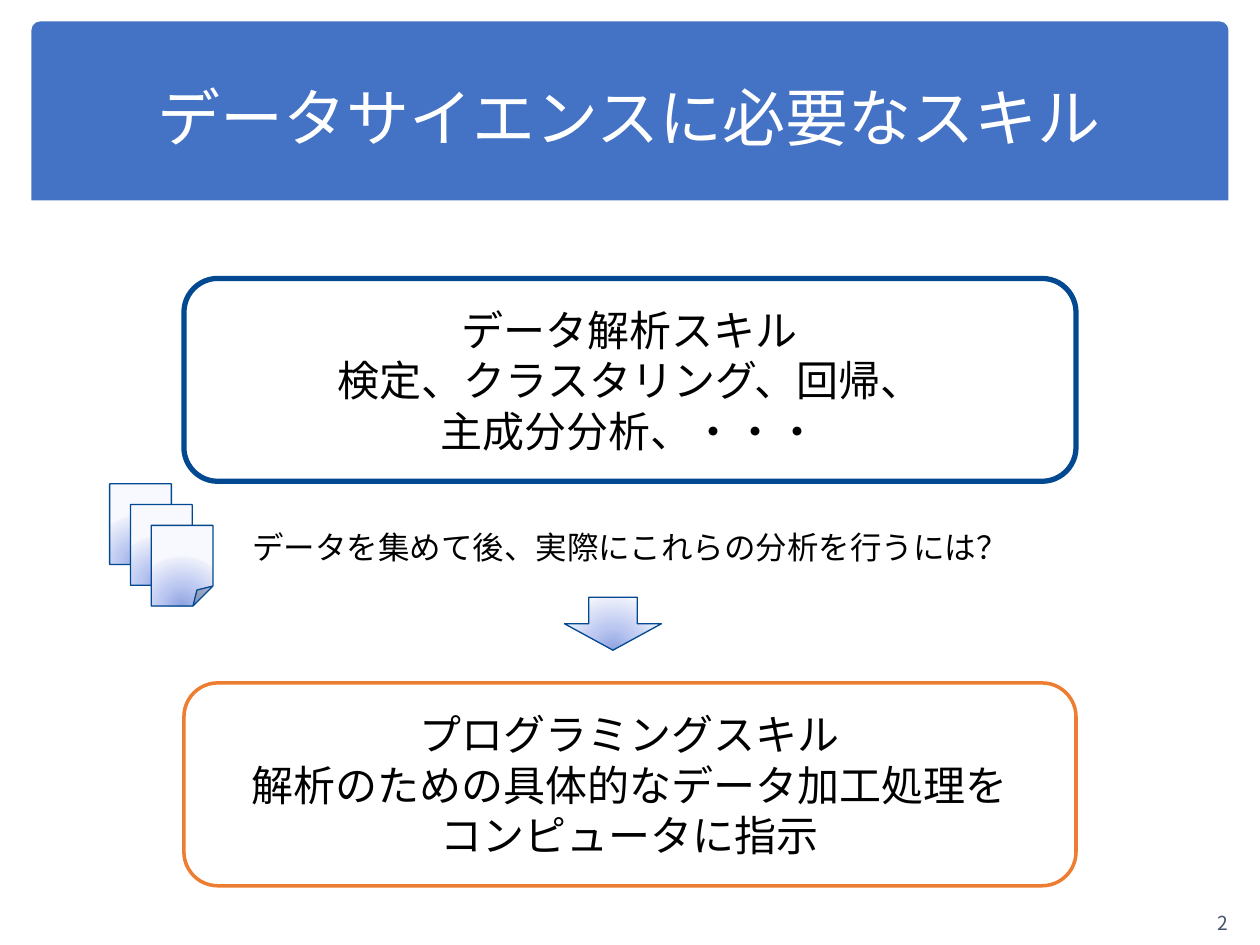
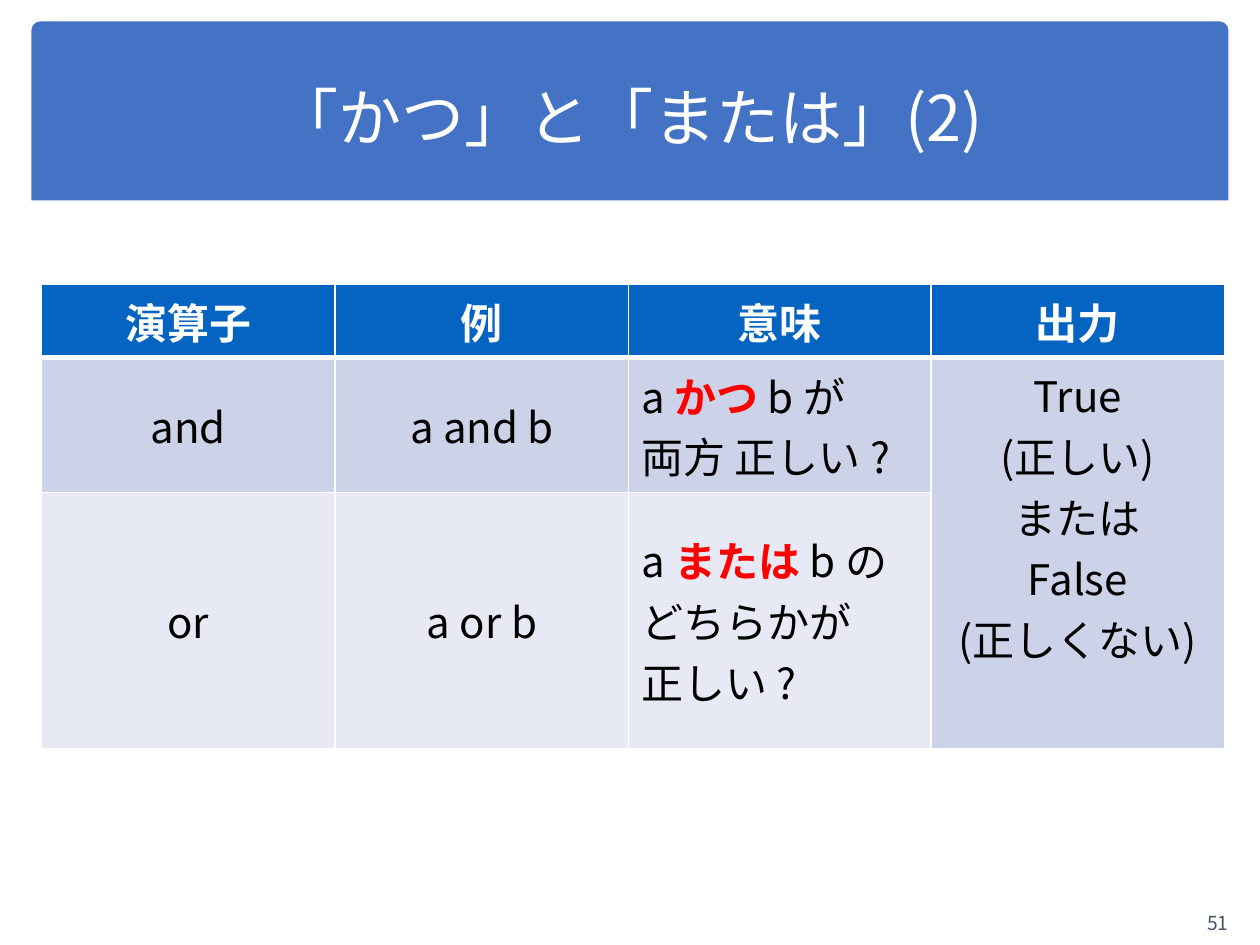
"""Build two lecture slides: data science skills and the and/or operators."""
from dataclasses import dataclass

from lxml import etree
from pptx import Presentation
from pptx.dml.color import RGBColor
from pptx.enum.shapes import MSO_SHAPE
from pptx.enum.text import MSO_ANCHOR, PP_ALIGN
from pptx.oxml import parse_xml
from pptx.oxml.ns import nsdecls, qn
from pptx.util import Inches, Pt

LEFT, CENTER, RIGHT = PP_ALIGN.LEFT, PP_ALIGN.CENTER, PP_ALIGN.RIGHT
TOP, MIDDLE = MSO_ANCHOR.TOP, MSO_ANCHOR.MIDDLE
BAND = MSO_SHAPE.ROUND_2_SAME_RECTANGLE
ROUNDED = MSO_SHAPE.ROUNDED_RECTANGLE
SHEET, ARROW = MSO_SHAPE.FOLDED_CORNER, MSO_SHAPE.DOWN_ARROW


@dataclass(frozen=True)
class Theme:
    heading_font: str = "Noto Sans CJK JP"
    body_font: str = "DejaVu Sans"
    title_size: int = 36
    body_size: int = 24
    note_size: int = 18
    number_size: int = 11
    white: str = "FFFFFF"
    black: str = "000000"
    red: str = "FF0000"
    band: str = "4472C4"
    number: str = "44546A"
    navy: str = "024991"
    orange: str = "ED7D31"
    header: str = "0563C1"
    rows: tuple = ("CCD3E9", "E7EAF4")
    gradient: tuple = ((0, "8EA3E0"), (43, "BCC8F1"), (93, "EBEEFA"), (100, "F7F9FF"))


theme = Theme()


def write(frame, lines, font, size, color, align=CENTER, anchor=MIDDLE, bold=False):
    """Fill a text frame; words between asterisks are bold red."""
    frame.text = "\n".join(lines)
    frame.vertical_anchor = anchor
    for para, line in zip(frame.paragraphs, lines):
        para.alignment = align
        para.text = ""
        for index, piece in enumerate(line.split("*")):
            span = para.add_run()
            span.text = piece
            marked = index % 2 == 1
            span.font.name, span.font.size = font, Pt(size)
            span.font.bold = bold or marked
            span.font.color.rgb = RGBColor.from_string(theme.red if marked else color)
            east_asian = etree.SubElement(span.font._element, qn("a:ea"))
            east_asian.set("typeface", font)


def add_outline(page, kind, area, fill, line, width):
    """Add a shadowless preset shape; a missing fill or line is left empty."""
    shape = page.shapes.add_shape(kind, *map(Inches, area))
    shape.shadow.inherit = False
    if fill:
        shape.fill.solid()
        shape.fill.fore_color.rgb = RGBColor.from_string(fill)
    else:
        shape.fill.background()
    if line:
        shape.line.color.rgb = RGBColor.from_string(line)
        shape.line.width = Pt(width)
    else:
        shape.line.fill.background()
    return shape


deck = Presentation()
deck.slide_width, deck.slide_height = Inches(10), Inches(7.5)
layout = deck.slide_layouts[5]

pages = []
for title, number in (("データサイエンスに必要なスキル", "2"), ("「かつ」と「または」(2)", "51")):
    page = deck.slides.add_slide(layout)
    heading = page.shapes.title
    heading.left, heading.top = Inches(0.33), Inches(0.3)
    heading.width, heading.height = Inches(9.33), Inches(1.25)
    write(heading.text_frame, [title], theme.heading_font, theme.title_size, theme.white)
    box = page.shapes.add_textbox(Inches(7.52), Inches(7.15), Inches(2.33), Inches(0.35))
    box.text_frame.word_wrap = True
    write(box.text_frame, [number], theme.heading_font, theme.number_size, theme.number, RIGHT)
    pages.append(page)
skills_page, operators_page = pages

band = add_outline(skills_page, BAND, (0.25, 0.17, 9.5, 1.42), theme.band, None, 0)
band.adjustments[0], band.adjustments[1] = 0.049, 0
layout.shapes.element.insert(2, band.element)

skills = (
    (2.21, None, theme.navy, 3,
     ["データ解析スキル", "検定、クラスタリング、回帰、", "主成分分析、・・・"]),
    (5.42, theme.white, theme.orange, 2,
     ["プログラミングスキル", "解析のための具体的なデータ加工処理を", "コンピュータに指示"]),
)
for top, fill, line, width, lines in skills:
    card = add_outline(skills_page, ROUNDED, (1.46, top, 7.08, 1.61), fill, line, width)
    write(card.text_frame, lines, theme.body_font, theme.body_size, theme.black)

question = skills_page.shapes.add_textbox(Inches(1.87), Inches(4.14), Inches(6.26), Inches(0.4))
question.text_frame.word_wrap = False
write(question.text_frame, ["データを集めて後、実際にこれらの分析を行うには？"],
      theme.body_font, theme.note_size, theme.black, anchor=TOP)

stops = "".join(
    f'<a:gs pos="{position * 1000}"><a:srgbClr val="{color}"/></a:gs>'
    for position, color in theme.gradient)
icons = [(SHEET, (0.87 + 0.165 * step, 3.84 + 0.165 * step, 0.49, 0.64)) for step in range(3)]
icons.append((ARROW, (4.48, 4.74, 0.77, 0.42)))
for kind, area in icons:
    icon = add_outline(skills_page, kind, area, theme.white, theme.navy, 0.75)
    properties = icon.element.spPr
    if kind == SHEET:
        geometry = properties.find(qn("a:prstGeom"))
        geometry.replace(geometry.find(qn("a:avLst")), parse_xml(
            f'<a:avLst {nsdecls("a")}><a:gd name="adj" fmla="val 32400"/></a:avLst>'))
    properties.replace(properties.find(qn("a:solidFill")), parse_xml(
        f'<a:gradFill {nsdecls("a")} rotWithShape="1"><a:gsLst>{stops}</a:gsLst>'
        '<a:path path="circle"><a:fillToRect l="50000" t="130000" r="50000" b="-30000"/>'
        '</a:path></a:gradFill>'))

table_rows = (
    (["演算子"], ["例"], ["意味"], ["出力"]),
    (["and"], ["a and b"], ["a *かつ* b が", "両方 正しい ?"],
     ["True", "(正しい)", "または", "False", "(正しくない)"]),
    (["or"], ["a or b"], ["a *または* b の", "どちらかが", "正しい ?"], None),
)
table = operators_page.shapes.add_table(
    3, 4, Inches(0.33), Inches(2.26), Inches(9.4), Inches(3.68)).table
for column, width in zip(table.columns, (2.33, 2.33, 2.4, 2.33)):
    column.width = Inches(width)
for row, height in zip(table.rows, (0.58, 1.07, 2.03)):
    row.height = Inches(height)
table.cell(1, 3).merge(table.cell(2, 3))

for row_index, row in enumerate(table_rows):
    is_header = row_index == 0
    for column_index, lines in enumerate(row):
        cell = table.cell(row_index, column_index)
        is_output = column_index == 3
        fill = theme.header if is_header else theme.rows[0 if is_output else row_index - 1]
        cell.fill.solid()
        cell.fill.fore_color.rgb = RGBColor.from_string(fill)
        if lines:
            write(cell.text_frame, lines, theme.heading_font, theme.body_size,
                  theme.white if is_header else theme.black,
                  LEFT if column_index == 2 and not is_header else CENTER, bold=is_header)
            cell.vertical_anchor = TOP if is_header or is_output else MIDDLE
        widths = {"L": 1, "R": 1, "T": 3 if row_index == 1 else 1, "B": 3 if is_header else 1}
        for position, (side, width) in enumerate(widths.items()):
            cell._tc.tcPr.insert(position, parse_xml(
                f'<a:ln{side} {nsdecls("a")} w="{Pt(width)}"><a:solidFill>'
                f'<a:srgbClr val="{theme.white}"/></a:solidFill></a:ln{side}>'))

deck.save("out.pptx")
